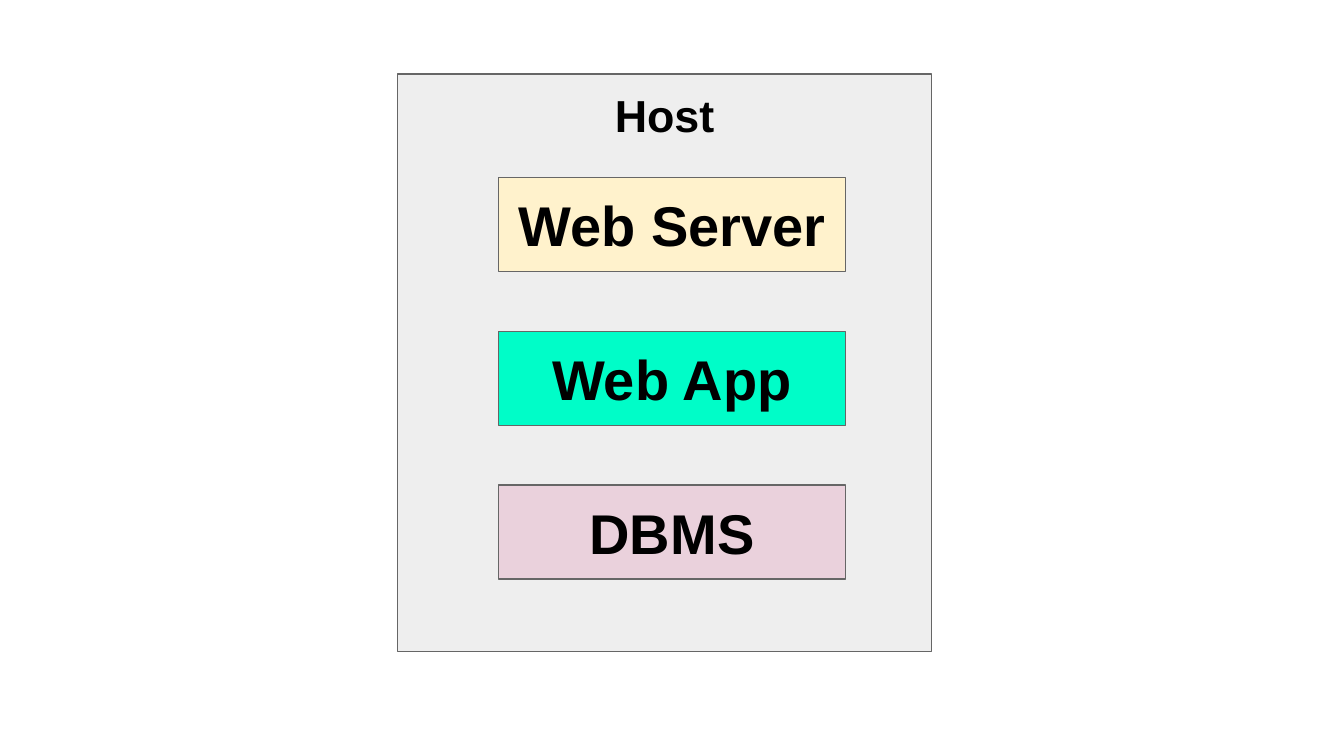
from dataclasses import dataclass

import pptx
import pptx.dml.color
import pptx.enum.shapes
import pptx.enum.text
import pptx.slide
import pptx.util
from pptx.util import Inches

COLORS = {
    "host": "EEEEEE",
    "web_server": "FFF2CC",
    "web_app": "00FDC8",
    "dbms": "EAD1DC",
    "outline": "666666",
    "text": "000000",
}
ANCHOR = pptx.enum.text.MSO_ANCHOR


@dataclass
class Box:
    label: str
    color: str
    left: float
    top: float
    width: float
    height: float
    size: int = 30
    anchor: ANCHOR = ANCHOR.MIDDLE


def rgb(name: str) -> pptx.dml.color.RGBColor:
    return pptx.dml.color.RGBColor.from_string(COLORS[name])


def draw_box(slide: pptx.slide.Slide, box: Box) -> None:
    shape = slide.shapes.add_shape(
        pptx.enum.shapes.MSO_SHAPE.RECTANGLE,
        Inches(box.left), Inches(box.top), Inches(box.width), Inches(box.height),
    )
    shape.shadow.inherit = False
    shape.fill.solid()
    shape.fill.fore_color.rgb = rgb(box.color)
    shape.line.color.rgb = rgb("outline")
    shape.line.width = pptx.util.Pt(0.75)

    # Label
    frame = shape.text_frame
    frame.word_wrap = True
    frame.vertical_anchor = box.anchor
    frame.margin_left = frame.margin_right = Inches(0.1)
    frame.margin_top = frame.margin_bottom = Inches(0.1)
    paragraph = frame.paragraphs[0]
    paragraph.alignment = pptx.enum.text.PP_ALIGN.CENTER
    run = paragraph.add_run()
    run.text = box.label
    run.font.name = "Arial"
    run.font.size = pptx.util.Pt(box.size)
    run.font.bold = True
    run.font.color.rgb = rgb("text")


def main() -> None:
    # Widescreen 16:9 page
    deck = pptx.Presentation()
    deck.slide_width, deck.slide_height = Inches(10), Inches(10 * 9 / 16)
    slide = deck.slides.add_slide(deck.slide_layouts[6])

    # Host that contains the whole stack
    draw_box(slide, Box("Host", "host", 2.96, 0.55, 3.97, 4.3, 24, ANCHOR.TOP))

    # Layers at an equal pitch, top to bottom
    layers = [("Web Server", "web_server"), ("Web App", "web_app"), ("DBMS", "dbms")]
    first_top, last_top = 1.32, 3.61
    pitch = (last_top - first_top) / (len(layers) - 1)
    for row, (label, color) in enumerate(layers):
        draw_box(slide, Box(label, color, 3.71, first_top + row * pitch, 2.58, 0.7))

    deck.save("out.pptx")


if __name__ == "__main__":
    main()
